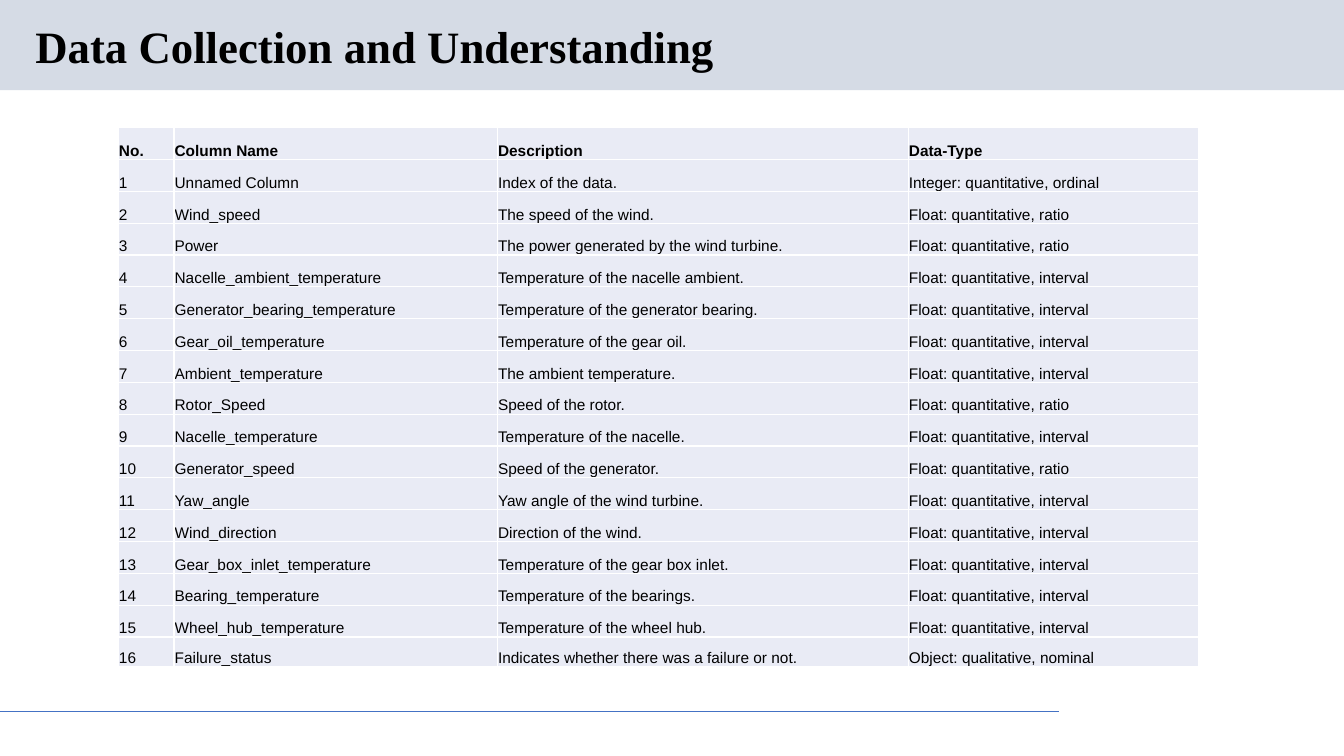
from dataclasses import dataclass

from lxml import etree
from pptx import Presentation
from pptx.dml.color import RGBColor
from pptx.enum import shapes, text
from pptx.oxml import ns
from pptx.util import Pt


@dataclass(frozen=True)
class Theme:
    band: str = "D5DBE5"
    rule: str = "4472C4"
    cell: str = "E9EBF5"
    border: str = "FFFFFF"
    ink: str = "000000"
    title_font: str = "Times New Roman"
    table_font: str = "Arial"
    title_size: int = 32
    table_size: int = 11


theme = Theme()


def write(frame, words, *, font, size, bold=False, spacing=None):
    paragraph = frame.paragraphs[0]
    paragraph.alignment = text.PP_ALIGN.LEFT
    paragraph.line_spacing = spacing
    run = paragraph.add_run()
    run.text = words
    run.font.name = font
    run.font.size = Pt(size)
    run.font.bold = bold
    run.font.color.rgb = RGBColor.from_string(theme.ink)


def add_borders(cell, color, width):
    properties = cell._tc.get_or_add_tcPr()
    for position, side in enumerate(("lnL", "lnR", "lnT", "lnB")):
        line = etree.Element(ns.qn(f"a:{side}"), w=str(Pt(width)))
        fill = etree.SubElement(line, ns.qn("a:solidFill"))
        etree.SubElement(fill, ns.qn("a:srgbClr"), val=color)
        properties.insert(position, line)


presentation = Presentation()
presentation.slide_width = Pt(960)
presentation.slide_height = Pt(540)
slide = presentation.slides.add_slide(presentation.slide_layouts[5])

# Title on its band
title = slide.shapes.title
title.left, title.top, title.width, title.height = Pt(18), Pt(13.5), Pt(828), Pt(42.5)
title.text_frame.vertical_anchor = text.MSO_ANCHOR.MIDDLE
title.text_frame.auto_size = text.MSO_AUTO_SIZE.SHAPE_TO_FIT_TEXT
write(title.text_frame, "Data Collection and Understanding", font=theme.title_font,
      size=theme.title_size, bold=True, spacing=0.9)

band = slide.shapes.add_shape(shapes.MSO_SHAPE.RECTANGLE, 0, 0, Pt(960), Pt(64.5))
band.shadow.inherit = False
band.fill.solid()
band.fill.fore_color.rgb = RGBColor.from_string(theme.band)
band.line.fill.background()
title.element.addprevious(band.element)

# Footer rule
rule = slide.shapes.add_connector(shapes.MSO_CONNECTOR.STRAIGHT, 0, Pt(508), Pt(756.5), Pt(508))
rule.line.color.rgb = RGBColor.from_string(theme.rule)
rule.line.width = Pt(0.75)
etree.SubElement(rule.element.spPr, ns.qn("a:effectLst"))
title.element.addprevious(rule.element)

# Data dictionary
ORDINAL = "Integer: quantitative, ordinal"
RATIO = "Float: quantitative, ratio"
INTERVAL = "Float: quantitative, interval"
NOMINAL = "Object: qualitative, nominal"
header = ("No.", "Column Name", "Description", "Data-Type")
data_columns = [
    ("Unnamed Column", "Index of the data.", ORDINAL),
    ("Wind_speed", "The speed of the wind.", RATIO),
    ("Power", "The power generated by the wind turbine.", RATIO),
    ("Nacelle_ambient_temperature", "Temperature of the nacelle ambient.", INTERVAL),
    ("Generator_bearing_temperature", "Temperature of the generator bearing.", INTERVAL),
    ("Gear_oil_temperature", "Temperature of the gear oil.", INTERVAL),
    ("Ambient_temperature", "The ambient temperature.", INTERVAL),
    ("Rotor_Speed", "Speed of the rotor.", RATIO),
    ("Nacelle_temperature", "Temperature of the nacelle.", INTERVAL),
    ("Generator_speed", "Speed of the generator.", RATIO),
    ("Yaw_angle", "Yaw angle of the wind turbine.", INTERVAL),
    ("Wind_direction", "Direction of the wind.", INTERVAL),
    ("Gear_box_inlet_temperature", "Temperature of the gear box inlet.", INTERVAL),
    ("Bearing_temperature", "Temperature of the bearings.", INTERVAL),
    ("Wheel_hub_temperature", "Temperature of the wheel hub.", INTERVAL),
    ("Failure_status", "Indicates whether there was a failure or not.", NOMINAL),
]
rows = [header] + [(str(number), *row) for number, row in enumerate(data_columns, 1)]
column_widths = (39.75, 231, 293.5, 207.5)
row_heights = [22.75] * len(data_columns) + [21.25]

table = slide.shapes.add_table(len(rows), len(header), Pt(84.5), Pt(91.25),
                               Pt(sum(column_widths)), Pt(sum(row_heights))).table
table.horz_banding = False
for column, width in zip(table.columns, column_widths):
    column.width = Pt(width)
for row_index, (row, height) in enumerate(zip(rows, row_heights)):
    table.rows[row_index].height = Pt(height)
    for column_index, words in enumerate(row):
        cell = table.cell(row_index, column_index)
        cell.margin_left = cell.margin_right = cell.margin_top = Pt(0.5)
        cell.margin_bottom = 0
        cell.vertical_anchor = text.MSO_ANCHOR.BOTTOM
        cell.fill.solid()
        cell.fill.fore_color.rgb = RGBColor.from_string(theme.cell)
        add_borders(cell, theme.border, 1)
        write(cell.text_frame, words, font=theme.table_font,
              size=theme.table_size, bold=row_index == 0)

presentation.save("out.pptx")
